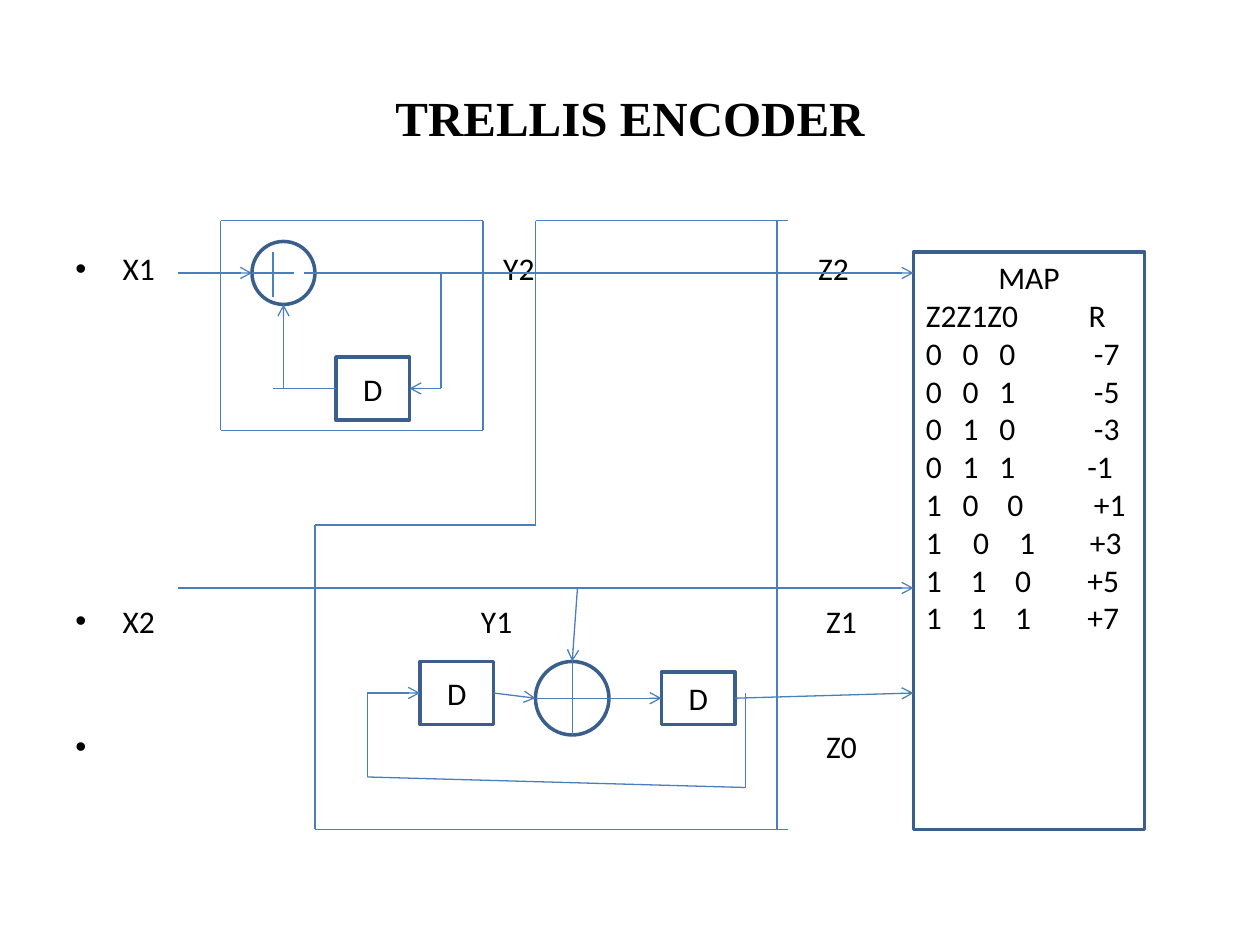
from dataclasses import dataclass
from itertools import pairwise

from lxml import etree
from pptx import Presentation
from pptx.dml.color import RGBColor
from pptx.enum import shapes, text
from pptx.oxml.ns import qn
from pptx.util import Pt

PX = 9525  # EMU per px, 96 px to the inch


@dataclass
class Theme:
    ink = RGBColor.from_string("000000")
    paper = RGBColor.from_string("FFFFFF")
    border = RGBColor.from_string("3A5F8C")
    wire = RGBColor.from_string("4B7EBC")
    title_font, title_size = "Times New Roman", Pt(28)
    body_font, body_size = "Calibri", Pt(18)
    border_width, wire_width = Pt(2), Pt(0.75)


theme = Theme()
prs = Presentation()
prs.slide_width, prs.slide_height = 960 * PX, 720 * PX
slide = prs.slides.add_slide(prs.slide_layouts[6])


def write(paragraph, words, stops=(), bullet=False, align=text.PP_ALIGN.LEFT):
    """Fill a body paragraph, with tab stops in px and an optional bullet."""
    paragraph.text = words
    paragraph.alignment = align
    props = paragraph._p.get_or_add_pPr()
    if bullet:
        props.set("marL", str(36 * PX))
        props.set("indent", str(-36 * PX))
        etree.SubElement(props, qn("a:buFont"), typeface="Arial")
        etree.SubElement(props, qn("a:buChar"), char="•")
    if stops:
        tabs = etree.SubElement(props, qn("a:tabLst"))
        for stop in stops:
            etree.SubElement(tabs, qn("a:tab"), pos=str(stop * PX), algn="l")
    paragraph.font.name = theme.body_font
    paragraph.font.size = theme.body_size
    paragraph.font.color.rgb = theme.ink


def add_block(kind, x, y, w, h):
    block = slide.shapes.add_shape(kind, x * PX, y * PX, w * PX, h * PX)
    block.shadow.inherit = False
    block.fill.solid()
    block.fill.fore_color.rgb = theme.paper
    block.line.color.rgb = theme.border
    block.line.width = theme.border_width
    return block


# Title
title = slide.shapes.add_textbox(48 * PX, 29 * PX, 864 * PX, 120 * PX).text_frame
title.word_wrap = True
title.vertical_anchor = text.MSO_ANCHOR.MIDDLE
heading = title.paragraphs[0]
heading.text = "TRELLIS ENCODER"
heading.alignment = text.PP_ALIGN.CENTER
heading.font.name = theme.title_font
heading.font.size = theme.title_size
heading.font.bold = True
heading.font.color.rgb = theme.ink

# Signal names: words, tab stops, space before
signals = slide.shapes.add_textbox(48 * PX, 128 * PX, 864 * PX, 536 * PX).text_frame
signals.word_wrap = True
signals.margin_top = 62 * PX
for i, (names, stops, gap) in enumerate([
    ("X1\tY2\tZ2", (326, 566), 0),
    ("X2\tY1\tZ1", (309, 572), 180),
    ("\tZ0", (572,), 50),
]):
    signal = signals.add_paragraph() if i else signals.paragraphs[0]
    write(signal, names, stops, bullet=True)
    if gap:
        signal.space_before = Pt(gap)

# Adders
for x, y, size in [(192, 184, 48), (408, 504, 56)]:
    add_block(shapes.MSO_SHAPE.OVAL, x, y, size, size)

# Delay blocks, with the side ports that wires can join
ports = {}
for x, y, w, h in [(256, 272, 56, 48), (320, 504, 56, 48), (504, 512, 56, 40)]:
    delay = add_block(shapes.MSO_SHAPE.RECTANGLE, x, y, w, h)
    delay.text_frame.vertical_anchor = text.MSO_ANCHOR.MIDDLE
    write(delay.text_frame.paragraphs[0], "D", align=text.PP_ALIGN.CENTER)
    ports[x, y + h // 2] = delay, 1
    ports[x + w, y + h // 2] = delay, 3

# Symbol map
table = add_block(shapes.MSO_SHAPE.RECTANGLE, 696, 192, 176, 440).text_frame
table.vertical_anchor = text.MSO_ANCHOR.TOP
table.word_wrap = True
write(table.paragraphs[0], "MAP", align=text.PP_ALIGN.CENTER)
for row, stops in [
    ("Z2Z1Z0\tR", (124,)),
    ("0\t0\t0\t-7", (28, 56, 128)),
    ("0\t0\t1\t-5", (28, 56, 128)),
    ("0\t1\t0\t-3", (28, 56, 128)),
    ("0\t1\t1\t-1", (28, 56, 123)),
    ("1\t0\t0\t+1", (28, 62, 128)),
    ("1\t0\t1\t+3", (36, 71, 125)),
    ("1\t1\t0\t+5", (34, 68, 123)),
    ("1\t1\t1\t+7", (34, 68, 123)),
]:
    write(table.add_paragraph(), row, stops)

# Wires: an arrow ends its last segment
arrows = [
    [(136, 208), (192, 208)],
    [(232, 208), (696, 208)],
    [(216, 296), (216, 232)],
    [(336, 208), (336, 296), (312, 296)],
    [(136, 448), (696, 448)],
    [(440, 448), (436, 504)],
    [(376, 528), (408, 532)],
    [(464, 532), (504, 532)],
    [(560, 532), (696, 528)],
    [(568, 528), (568, 600), (280, 592), (280, 528), (320, 528)],
]
plain = [
    [(256, 296), (208, 296)],
    # Frames around the two coders
    [(168, 168), (368, 168), (368, 328), (168, 328), (168, 168)],
    [(600, 168), (408, 168), (408, 400), (240, 400), (240, 632), (600, 632)],
    [(592, 168), (592, 632)],
    # Plus signs in the adders
    [(192, 208), (224, 208)],
    [(208, 192), (208, 226)],
    [(408, 532), (464, 532)],
    [(436, 504), (436, 560)],
]
for route in arrows + plain:
    for start, end in pairwise(route):
        wire = slide.shapes.add_connector(
            shapes.MSO_CONNECTOR.STRAIGHT, *(v * PX for v in start + end))
        wire.line.color.rgb = theme.wire
        wire.line.width = theme.wire_width
        if route in arrows and end == route[-1]:
            etree.SubElement(wire.line._get_or_add_ln(), qn("a:tailEnd"), type="arrow")
        etree.SubElement(wire._element.spPr, qn("a:effectLst"))
        if start in ports:
            wire.begin_connect(*ports[start])
        if end in ports:
            wire.end_connect(*ports[end])

prs.save("out.pptx")
